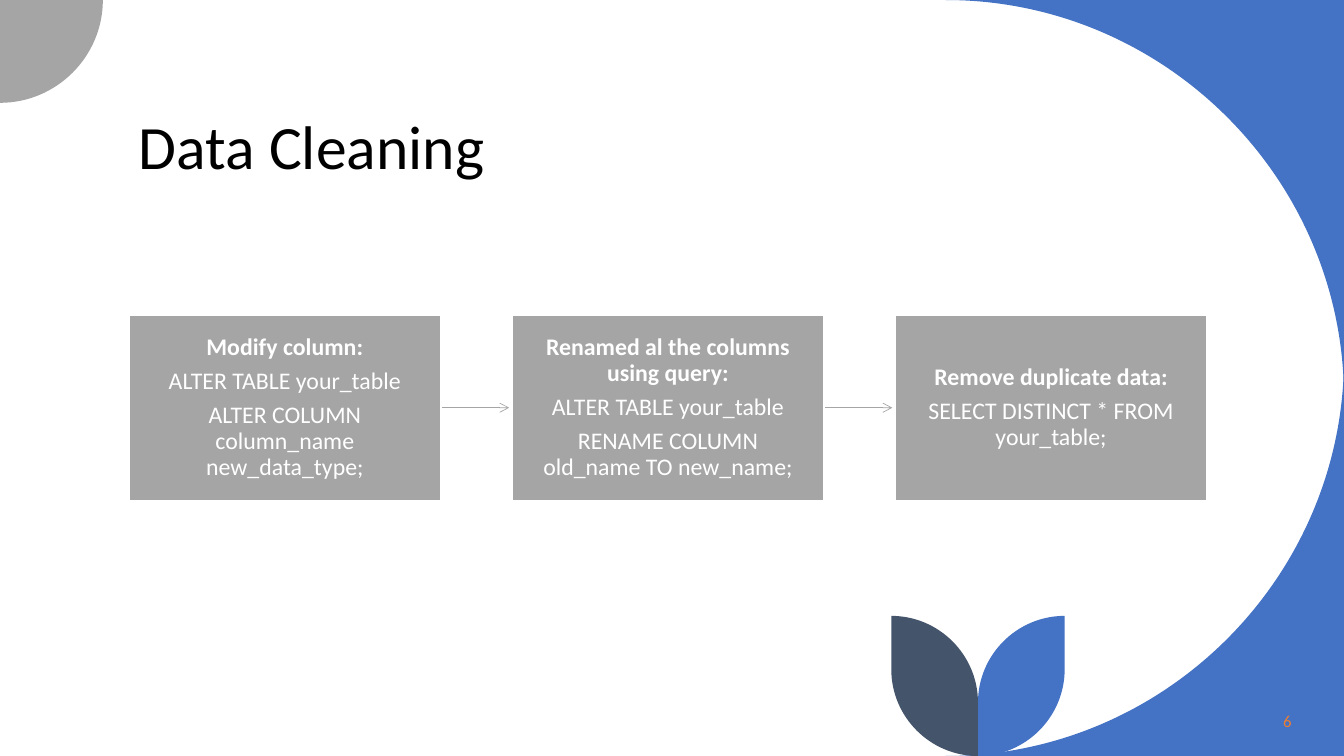
from dataclasses import dataclass

from lxml.etree import SubElement
from pptx import Presentation
from pptx.dml.color import RGBColor
from pptx.enum.shapes import MSO_CONNECTOR as CONNECTOR, MSO_SHAPE as SHAPE
from pptx.enum.text import MSO_ANCHOR as ANCHOR, PP_ALIGN as ALIGN
from pptx.oxml.ns import qn
from pptx.util import Inches, Pt


@dataclass(frozen=True)
class Theme:
    """Colours, font and type sizes."""
    blue: str = "4472C4"
    grey: str = "A5A5A5"
    slate: str = "44546A"
    orange: str = "ED7D31"
    black: str = "000000"
    white: str = "FFFFFF"
    font: str = "Calibri"
    title: int = 44
    step: int = 17
    number: int = 12


THEME = Theme()
ROUND = 0.55
STEPS = [
    ("Modify column:", "ALTER TABLE your_table",
     "ALTER COLUMN column_name new_data_type;"),
    ("Renamed al the columns using query:", "ALTER TABLE your_table",
     "RENAME COLUMN old_name TO new_name;"),
    ("Remove duplicate data:", "SELECT DISTINCT * FROM your_table;"),
]


def rgb(color):
    """Turn a hex string into a colour."""
    return RGBColor.from_string(color)


def style(p, size, color, align=ALIGN.LEFT, bold=False):
    """Set the font and alignment of a paragraph."""
    p.alignment = align
    p.font.name, p.font.size, p.font.bold = THEME.font, Pt(size), bold
    p.font.color.rgb = rgb(color)


def bend(segment, start, end, corner):
    """Turn a straight segment into a quarter arc that bulges to a corner."""
    segment.tag = qn("a:cubicBezTo")
    handles = [[round(a + ROUND * (c - a)) for a, c in zip(point, corner)]
               for point in (start, end)]
    for i, (x, y) in enumerate(handles):
        pt = SubElement(segment, qn("a:pt"), x=str(x), y=str(y))
        segment.insert(i, pt)


def add_outline(s, points, corners, color):
    """Draw a filled outline; corners maps a point index to its arc's corner."""
    points = [(Inches(x), Inches(y)) for x, y in points]
    builder = s.shapes.build_freeform(*points[0])
    builder.add_line_segments(points[1:], close=True)
    sp = builder.convert_to_shape()
    segments = list(sp._element.iter(qn("a:lnTo")))
    for i, corner in corners.items():
        start, end, peak = [(x - sp.left, y - sp.top) for x, y in
                            (points[i - 1], points[i], map(Inches, corner))]
        bend(segments[i - 1], start, end, peak)
    sp.shadow.inherit = False
    sp.fill.solid()
    sp.fill.fore_color.rgb = rgb(color)
    sp.line.fill.background()


def add_leaf(s, stem, top, width, height, side, color):
    """Draw a leaf beside the stem, to the right (1) or left (-1)."""
    tip, bottom = stem + side * width, top + height
    points = [(tip, top), (tip, bottom - width), (stem, bottom), (stem, top + width),
              (tip, top)]
    add_outline(s, points, {2: (tip, bottom), 4: (stem, top)}, color)


def add_decoration(s, width, height):
    """Draw the corner shapes and the pair of leaves."""
    radius, dot = 3.95, 1.02
    left = width - radius
    for edge, inner in ((0, radius), (height, height - radius)):
        corner = (width, edge)
        add_outline(s, [corner, (left, edge), (width, inner)], {2: corner}, THEME.blue)
    add_outline(s, [(0, 0), (dot, 0), (0, dot)], {2: (dot, dot)}, THEME.grey)
    for side, color in ((1, THEME.blue), (-1, THEME.slate)):
        add_leaf(s, 9.7, height - 1.39, 0.86, 1.39, side, color)


def add_label(s, box, text, size, color, anchor, align=ALIGN.LEFT):
    """Add a one-paragraph text box and return its paragraph."""
    tf = s.shapes.add_textbox(*map(Inches, box)).text_frame
    tf.word_wrap, tf.vertical_anchor = True, anchor
    p = tf.paragraphs[0]
    p.text = text
    style(p, size, color, align)
    return p


def add_arrow(s, x1, x2, y):
    """Draw a thin horizontal arrow."""
    c = s.shapes.add_connector(CONNECTOR.STRAIGHT, *map(Inches, (x1, y, x2, y)))
    c.line.color.rgb, c.line.width = rgb(THEME.grey), Pt(0.5)
    SubElement(c.line._get_or_add_ln(), qn("a:tailEnd"), type="arrow")
    SubElement(c._element.spPr, qn("a:effectLst"))


def add_step(s, box, lines):
    """Draw one step with a bold heading over its query."""
    sp = s.shapes.add_shape(SHAPE.RECTANGLE, *map(Inches, box))
    sp.shadow.inherit = False
    sp.fill.solid()
    sp.fill.fore_color.rgb = rgb(THEME.grey)
    sp.line.color.rgb, sp.line.width = rgb(THEME.white), Pt(1.5)
    tf = sp.text_frame
    tf.word_wrap, tf.vertical_anchor = True, ANCHOR.MIDDLE
    tf.margin_left = tf.margin_right = Inches(0.15)
    tf.margin_top = tf.margin_bottom = Inches(0.16)
    for i, line in enumerate(lines):
        p = tf.add_paragraph() if i else tf.paragraphs[0]
        p.text = line
        p.line_spacing, p.space_after = 0.9, Pt(6)
        style(p, THEME.step, THEME.white, ALIGN.CENTER, bold=i == 0)


def add_process(s, left, top, width, height):
    """Spread the steps over the width and join them with arrows."""
    step_w = 3.09
    pitch = (width - step_w) / (len(STEPS) - 1)
    for i, lines in enumerate(STEPS):
        x = left + i * pitch
        if i < len(STEPS) - 1:
            add_arrow(s, x + step_w, x + pitch - 0.03, top + height / 2)
        add_step(s, (x, top, step_w, height), lines)


def main():
    """Build and save the slide."""
    width, height = 13.33, 7.5
    prs = Presentation()
    prs.slide_width, prs.slide_height = Inches(width), Inches(height)
    s = prs.slides.add_slide(prs.slide_layouts[6])
    add_decoration(s, width, height)
    title = add_label(s, (1.28, 0.41, 10.69, 1.45), "Data Cleaning",
                      THEME.title, THEME.black, ANCHOR.BOTTOM)
    title.line_spacing = 0.9
    number = add_label(s, (11.1, 6.95, 1.81, 0.4), "6",
                       THEME.number, THEME.orange, ANCHOR.MIDDLE, ALIGN.RIGHT)
    number.space_after = Pt(6)
    add_process(s, 1.28, 3.12, 10.69, 1.85)
    prs.save("out.pptx")


if __name__ == "__main__":
    main()
